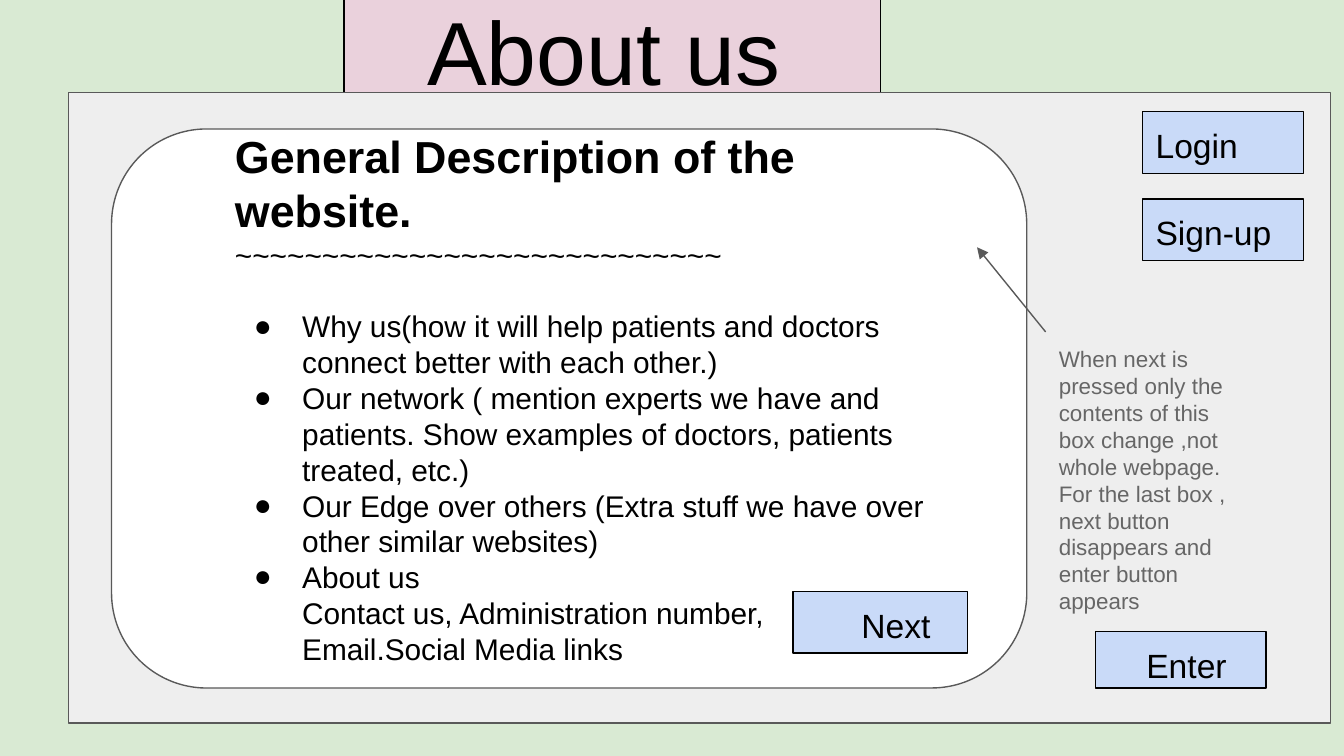
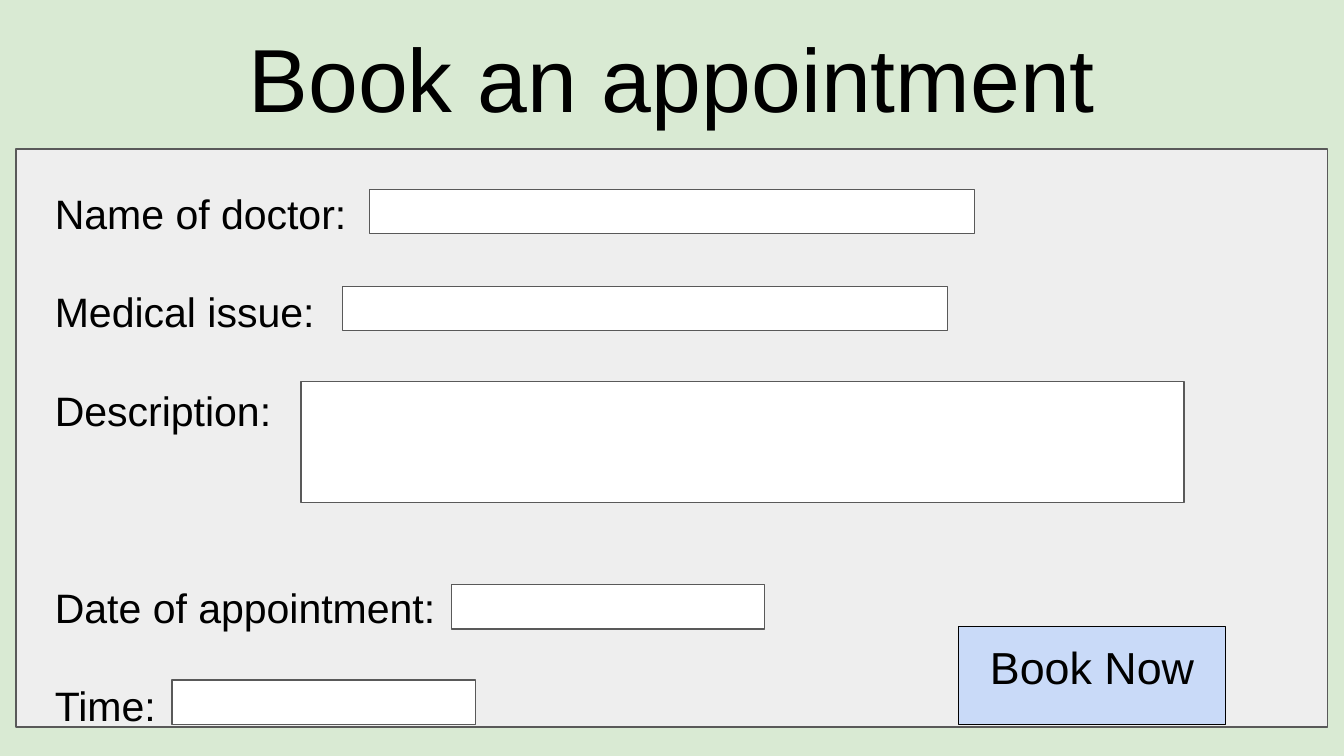
"""Build two website wireframe slides: About us and Book an appointment."""
from lxml import etree
from pptx import Presentation
from pptx.dml.color import RGBColor
from pptx.enum.shapes import MSO_CONNECTOR, MSO_SHAPE
from pptx.enum.text import MSO_ANCHOR, PP_ALIGN
from pptx.oxml.ns import qn
from pptx.util import Inches, Pt

RECT, ROUNDED = MSO_SHAPE.RECTANGLE, MSO_SHAPE.ROUNDED_RECTANGLE
LEFT, CENTER = PP_ALIGN.LEFT, PP_ALIGN.CENTER
TOP, STRAIGHT = MSO_ANCHOR.TOP, MSO_CONNECTOR.STRAIGHT

COLORS = {
    "background": "D9EAD3", "banner": "EAD1DC", "panel": "EEEEEE",
    "field": "FFFFFF", "button": "C9DAF8", "border": "595959",
    "ink": "000000", "note": "666666",
}
FONT = "Arial"
SLIDE_WIDTH = Inches(10)
SLIDE_HEIGHT = SLIDE_WIDTH * 9 // 16
INSET = 0.1
LINE_HEIGHT = 1.2
TITLE_SIZE = 48
FIELD_HEIGHT = 0.33

HEADING = "General Description of the website."
DIVIDER = "~~~~~~~~~~~~~~~~~~~~~~~~~~~~"
TOPICS = [
    "Why us(how it will help patients and doctors connect better with each other.)",
    "Our network ( mention experts we have and patients. Show examples of doctors, "
    "patients treated, etc.)",
    "Our Edge over others (Extra stuff we have over other similar websites)",
    "About us",
]
CONTACT = "Contact us, Administration number, Email.Social Media links"
NOTES = [
    "When next is pressed only the contents of this box change ,not whole webpage.",
    "For the last box , next button disappears and enter button appears",
]
ABOUT_BUTTONS = [
    ("Enter", (8.15, 4.7, 1.27, 0.42), 0.38),
    ("Login", (8.5, 0.83, 1.2, 0.46), INSET),
    ("Sign-up", (8.5, 1.48, 1.2, 0.46), INSET),
    ("Next", (5.9, 4.4, 1.3, 0.46), 0.51),
]
FORM_SIZE = 22
FORM_ROWS = [
    ("Name of doctor:", 0, (2.75, 1.41, 4.5, FIELD_HEIGHT)),
    ("Medical issue:", 1, (2.55, 2.13, 4.5, FIELD_HEIGHT)),
    ("Description:", 1, (2.24, 2.84, 6.57, 0.9)),
    ("Date of appointment:", 3, (3.36, 4.35, 2.33, FIELD_HEIGHT)),
    ("Time:", 1, (1.28, 5.06, 2.26, FIELD_HEIGHT)),
]


def rgb(name):
    return RGBColor.from_string(COLORS[name])


def apply(target, values):
    for name, value in values.items():
        setattr(target, name, value)


def add_slide(deck):
    slide = deck.slides.add_slide(deck.slide_layouts[6])
    slide.background.fill.solid()
    slide.background.fill.fore_color.rgb = rgb("background")
    return slide


def add_bullet(paragraph):
    properties = paragraph._p.get_or_add_pPr()
    color = etree.SubElement(properties, qn("a:buClr"))
    etree.SubElement(color, qn("a:srgbClr"), val=COLORS["ink"])
    etree.SubElement(properties, qn("a:buFont"), typeface=FONT)
    etree.SubElement(properties, qn("a:buChar"), char="●")


def write(shape, lines, size, align=LEFT, color="ink", left=INSET, right=INSET):
    """Fill a shape with (text, options) lines."""
    frame = shape.text_frame
    apply(frame, {
        "word_wrap": True, "vertical_anchor": TOP,
        "margin_left": Inches(left), "margin_right": Inches(right),
        "margin_top": Inches(INSET), "margin_bottom": Inches(INSET),
    })
    for index, (text, options) in enumerate(lines):
        paragraph = frame.paragraphs[0] if index == 0 else frame.add_paragraph()
        paragraph.text = text
        paragraph.alignment = align
        if "indent" in options:
            properties = paragraph._p.get_or_add_pPr()
            properties.set("marL", str(Inches(0.5)))
            properties.set("indent", str(Inches(options["indent"])))
        if options.get("bullet"):
            add_bullet(paragraph)
        line_size = options.get("size", size)
        if options.get("skip"):
            paragraph.space_before = Pt(options["skip"] * line_size * LINE_HEIGHT)
        apply(paragraph.font, {
            "name": FONT, "size": Pt(line_size), "bold": options.get("bold", False),
        })
        paragraph.font.color.rgb = rgb(color)


def add_box(slide, place, fill, border="border", outline=RECT):
    box = slide.shapes.add_shape(outline, *map(Inches, place))
    box.shadow.inherit = False
    box.fill.solid()
    box.fill.fore_color.rgb = rgb(fill)
    box.line.color.rgb = rgb(border)
    box.line.width = Pt(0.75)
    return box


def add_text(slide, place, lines, size, **style):
    write(slide.shapes.add_textbox(*map(Inches, place)), lines, size, **style)


def add_button(slide, label, place, size=18, **style):
    write(add_box(slide, place, "button", "ink"), [(label, {})], size, **style)


def add_arrow(slide, start, end):
    arrow = slide.shapes.add_connector(STRAIGHT, *map(Inches, start + end))
    arrow.line.color.rgb = rgb("border")
    arrow.line.width = Pt(0.75)
    etree.SubElement(arrow.line._get_or_add_ln(), qn("a:tailEnd"), type="triangle")
    etree.SubElement(arrow._element.spPr, qn("a:effectLst"))


def build_about(deck):
    slide = add_slide(deck)
    banner = add_box(slide, (2.56, -0.13, 3.99, 0.82), "banner", "ink")
    write(banner, [("About us", {})], TITLE_SIZE, align=CENTER, right=0.22)
    add_box(slide, (0.51, 0.69, 9.39, 4.69), "panel")
    card = add_box(slide, (0.83, 0.96, 6.81, 4.16), "field", outline=ROUNDED)
    card.adjustments[0] = 0.17

    lines = [(HEADING, {"size": 24, "bold": True}), (DIVIDER, {})]
    for index, topic in enumerate(TOPICS):
        lines.append((topic, {"indent": -0.36, "bullet": True, "skip": index == 0}))
    lines.append((CONTACT, {"indent": 0}))
    add_text(slide, (1.65, 0.86, 5.35, 4.07), lines, 16)

    for label, place, left in ABOUT_BUTTONS:
        add_button(slide, label, place, left=left)
    add_arrow(slide, (7.78, 2.47), (7.27, 1.84))
    add_text(slide, (7.78, 2.47, 1.48, 2.01), [(note, {}) for note in NOTES], 12,
             color="note")


def build_booking(deck):
    slide = add_slide(deck)
    add_text(slide, (0.34, 0.07, 9.32, 0.63), [("Book an appointment", {})],
             TITLE_SIZE, align=CENTER)
    add_box(slide, (0.12, 1.11, 9.76, 4.3), "panel")
    labels = [(label, {"skip": skip}) for label, skip, _ in FORM_ROWS]
    add_text(slide, (0.31, 1.3, 7.81, 3.16), labels, FORM_SIZE)
    add_button(slide, "Book Now", (7.13, 4.66, 1.99, 0.73), size=24, align=CENTER)
    for _, _, place in FORM_ROWS:
        add_box(slide, place, "field")


def main():
    deck = Presentation()
    apply(deck, {"slide_width": SLIDE_WIDTH, "slide_height": SLIDE_HEIGHT})
    build_about(deck)
    build_booking(deck)
    deck.save("out.pptx")


if __name__ == "__main__":
    main()
